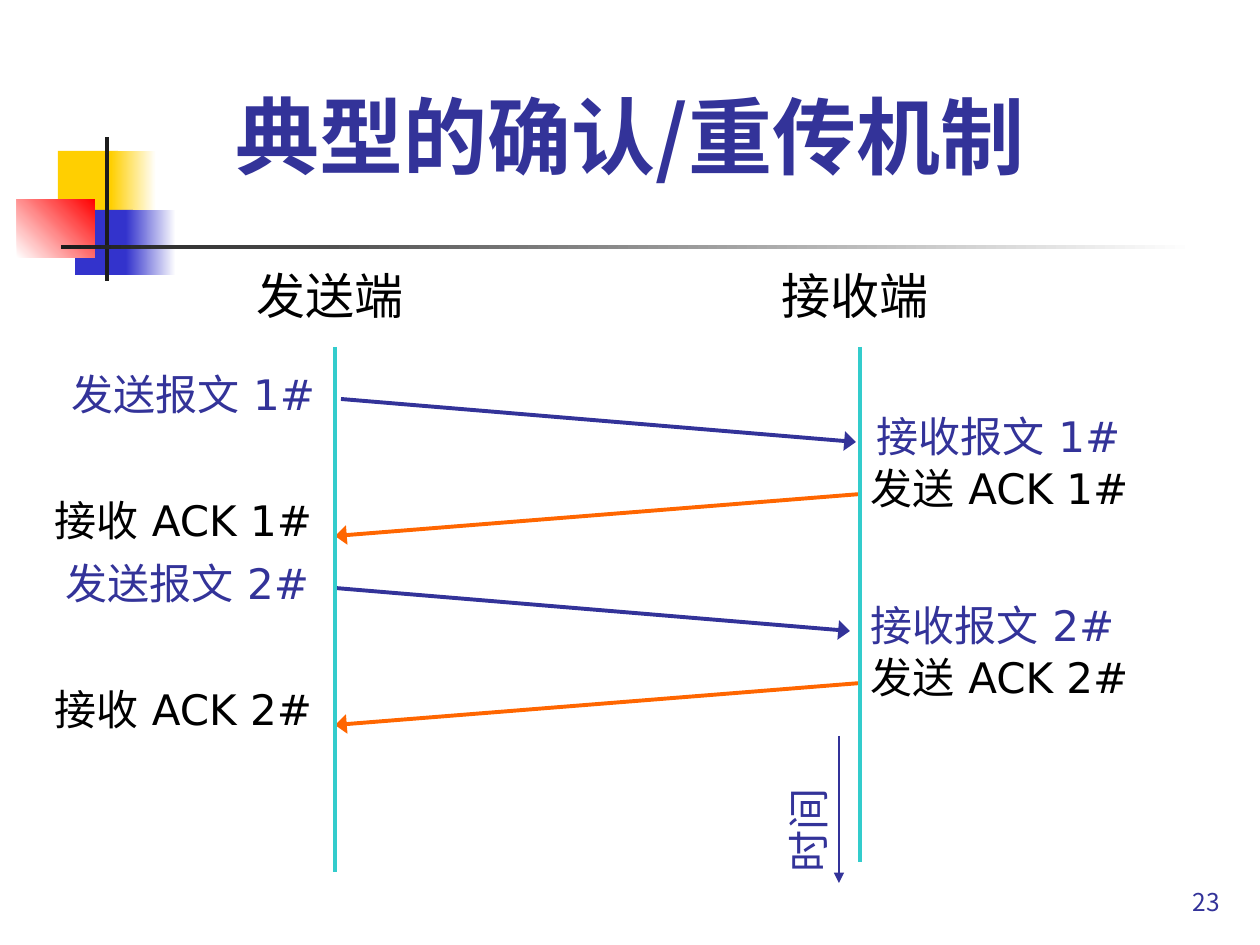
from lxml import etree
from pptx import Presentation
from pptx.dml.color import RGBColor
from pptx.enum.shapes import MSO_CONNECTOR, MSO_SHAPE
from pptx.enum.text import MSO_ANCHOR, PP_ALIGN
from pptx.oxml.ns import qn
from pptx.util import Pt

PX = 914400 / 126
LEFT, CENTER, RIGHT = PP_ALIGN.LEFT, PP_ALIGN.CENTER, PP_ALIGN.RIGHT
TOP, MIDDLE, BOTTOM = MSO_ANCHOR.TOP, MSO_ANCHOR.MIDDLE, MSO_ANCHOR.BOTTOM
STRAIGHT = MSO_CONNECTOR.STRAIGHT
RECTANGLE = MSO_SHAPE.RECTANGLE
SANS, CJK = "DejaVu Sans", "Noto Sans CJK JP"
NAVY, BLACK, ORANGE, TEAL = "333399", "000000", "FF6600", "33CCCC"
YELLOW, BLUE, RED, DARK, WHITE = "FFCF01", "3333CC", "FF0000", "1C1C1C", "FFFFFF"

presentation = Presentation()
presentation.slide_width = round(1260 * PX)
presentation.slide_height = round(945 * PX)
slide = presentation.slides.add_slide(presentation.slide_layouts[6])


def add_text(text, box, size, color, align=LEFT, anchor=TOP, font_name=SANS, inset=0):
    shape = slide.shapes.add_textbox(*[round(value * PX) for value in box])
    frame = shape.text_frame
    frame.text = text
    frame.word_wrap = False
    frame.vertical_anchor = anchor
    frame.margin_left = frame.margin_right = round(inset * PX)
    frame.margin_top = frame.margin_bottom = round(inset / 2 * PX)
    paragraph = frame.paragraphs[0]
    paragraph.alignment = align
    run = paragraph.runs[0]
    run.font.size = Pt(size)
    run.font.name = font_name
    run.font.color.rgb = RGBColor.from_string(color)
    east_asian = etree.SubElement(run.font._element, qn("a:ea"))
    east_asian.set("typeface", font_name)
    return shape


def add_line(start, end, color, width=2.25, head_size=None):
    line = slide.shapes.add_connector(
        STRAIGHT, *[round(value * PX) for value in (*start, *end)])
    line.line.color.rgb = RGBColor.from_string(color)
    line.line.width = Pt(width)
    if head_size:
        tail = etree.SubElement(line.line._get_or_add_ln(), qn("a:tailEnd"))
        tail.set("type", "triangle")
        tail.set("w", head_size)
    etree.SubElement(line._element.spPr, qn("a:effectLst"))


decorations = [
    ((58, 151, 60, 66), [YELLOW], 0),
    ((111, 151, 45, 66), [YELLOW, WHITE], 0),
    ((75, 210, 58, 65), [BLUE], 0),
    ((126, 210, 50, 65), [BLUE, WHITE], 0),
    ((17, 199, 78, 59), [WHITE, RED], 45),
    ((105, 137, 4, 144), [DARK], 0),
    ((61, 245, 1134, 4), [DARK, WHITE], 0),
]
for box, colors, angle in decorations:
    shape = slide.shapes.add_shape(RECTANGLE, *[round(value * PX) for value in box])
    shape.shadow.inherit = False
    shape.line.fill.background()
    if len(colors) == 1:
        shape.fill.solid()
        shape.fill.fore_color.rgb = RGBColor.from_string(colors[0])
    else:
        shape.fill.gradient()
        shape.fill.gradient_angle = angle
        for stop, color in zip(shape.fill.gradient_stops, colors):
            stop.color.rgb = RGBColor.from_string(color)

title = add_text("典型的确认/重传机制", (105, 75, 1050, 116), 48, NAVY, CENTER, BOTTOM, CJK, 12)
title.text_frame.paragraphs[0].runs[0].font.bold = True

for number, top, shift in [(1, 369, 6), (2, 558, 0)]:
    add_text(f"发送报文 {number}#", (39 + shift, top, 270, 53), 24, NAVY, RIGHT)
    add_text(f"接收报文 {number}#", (871 + shift, top + 42, 270, 53), 24, NAVY)
    add_line((335 + shift, top + 30), (850 + shift, top + 73), NAVY, head_size="lg")
    add_text(f"接收 ACK {number}#", (42, top + 126, 270, 53), 24, BLACK, RIGHT)
    add_line((861, top + 125), (335, top + 167), ORANGE, head_size="lg")
    add_text(f"发送 ACK {number}#", (871, top + 94, 270, 53), 24, BLACK)

for name, center, bottom in [("发送端", 335, 872), ("接收端", 860, 862)]:
    add_line((center, 347), (center, bottom), TEAL)
    add_text(name, (center - 115, 263, 220, 63), 28, BLACK, CENTER, MIDDLE, inset=12)

add_line((839, 736), (839, 883), NAVY, 1.5, "med")
time_label = add_text("时间", (738, 809, 140, 42), 24, NAVY, CENTER, MIDDLE)
time_label.rotation = 270

add_text("23", (970, 859, 262, 63), 14, NAVY, RIGHT, BOTTOM, CJK, 12)

presentation.save("out.pptx")
